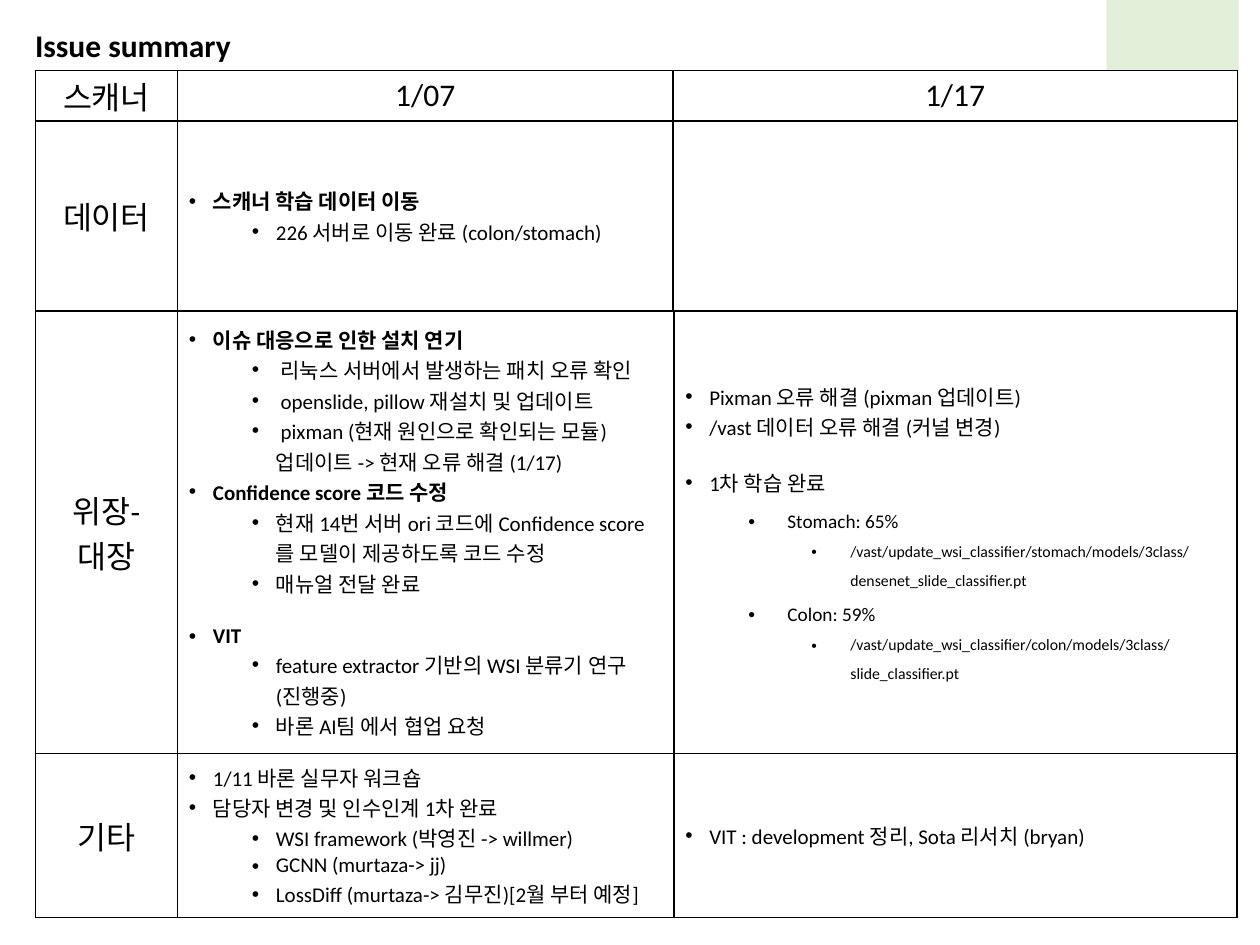
from dataclasses import dataclass
from lxml.etree import SubElement
from pptx import Presentation
from pptx.dml.color import RGBColor
from pptx.enum.shapes import MSO_SHAPE
from pptx.enum.text import MSO_ANCHOR, MSO_AUTO_SIZE, PP_ALIGN
from pptx.oxml.ns import qn
from pptx.util import Inches, Pt


@dataclass
class Entry:
    text: str
    size: int = 12
    bold: bool = False
    level: int = 0
    left: float = 1.9
    hang: float = 1.9
    spacing: float = 1.0
    before: float = 0
    bullet: bool = True


def topic(text, **extra):
    return Entry(text, bold=True, **extra)


def detail(text):
    return Entry(text, level=1, left=6.9)


def score(text):
    return Entry(text, 11, level=1, left=8.1, hang=3.1, spacing=1.5)


def model_path(text):
    return Entry(text, 9, level=2, left=13.1, hang=3.1, spacing=1.5)


def label(text):
    return [Entry(text, 18, bullet=False)]


def color(value):
    return RGBColor.from_string(value)


@dataclass
class IssueSlide:
    slide: object
    font: str = "Calibri"
    ink: str = "000000"
    paper: str = "FFFFFF"
    accent: str = "E2F0D9"
    grid: float = 0.1

    def span(self, count):
        return Inches(count * self.grid)

    def box(self, *counts):
        return [self.span(count) for count in counts]

    def block(self, *counts):
        block = self.slide.shapes.add_shape(MSO_SHAPE.RECTANGLE, *self.box(*counts))
        block.shadow.inherit = False
        block.fill.solid()
        block.fill.fore_color.rgb = color(self.accent)
        block.line.fill.background()

    def run(self, paragraph, text, size, bold):
        run = paragraph.add_run()
        run.text = text
        run.font.name = self.font
        run.font.size = Pt(size)
        run.font.bold = bold
        run.font.color.rgb = color(self.ink)

    def heading(self, text, *counts):
        heading = self.slide.shapes.add_textbox(*self.box(*counts)).text_frame
        heading.word_wrap = True
        heading.auto_size = MSO_AUTO_SIZE.SHAPE_TO_FIT_TEXT
        self.run(heading.paragraphs[0], text, 18, True)

    def entry(self, paragraph, entry):
        if entry.bullet:
            paragraph.level = entry.level
            props = paragraph._p.get_or_add_pPr()
            props.set("marL", str(self.span(entry.left)))
            props.set("indent", str(-self.span(entry.hang)))
            SubElement(props, qn("a:buFont"), typeface="Arial")
            SubElement(props, qn("a:buChar"), char="•")
            if entry.spacing != 1:
                paragraph.line_spacing = entry.spacing
            if entry.before:
                paragraph.space_before = Pt(entry.before)
        else:
            paragraph.alignment = PP_ALIGN.CENTER
        self.run(paragraph, entry.text, entry.size, entry.bold)

    def borders(self, cell):
        props = cell._tc.get_or_add_tcPr()
        for index, side in enumerate(("a:lnL", "a:lnR", "a:lnT", "a:lnB")):
            edge = props.makeelement(qn(side), {"w": str(Pt(1))})
            fill = SubElement(edge, qn("a:solidFill"))
            SubElement(fill, qn("a:srgbClr"), val=self.ink)
            props.insert(index, edge)

    def cell(self, cell, entries):
        cell.fill.solid()
        cell.fill.fore_color.rgb = color(self.paper)
        cell.vertical_anchor = MSO_ANCHOR.MIDDLE
        cell.margin_left = cell.margin_right = self.span(0.9)
        cell.margin_top = cell.margin_bottom = self.span(0.2)
        self.borders(cell)
        frame = cell.text_frame
        for index, entry in enumerate(entries):
            paragraph = frame.add_paragraph() if index else frame.paragraphs[0]
            self.entry(paragraph, entry)

    def table(self, left, top, widths, heights, content):
        bounds = self.box(left, top, sum(widths), sum(heights))
        table = self.slide.shapes.add_table(len(heights), len(widths), *bounds).table
        table.first_row = table.horz_banding = False
        for column, width in zip(table.columns, widths):
            column.width = self.span(width)
        for row, height, cells in zip(table.rows, heights, content):
            row.height = self.span(height)
            for cell, entries in zip(row.cells, cells):
                self.cell(cell, entries)


DATA_ISSUES = [
    [label("스캐너"), label("1/07"), label("1/17")],
    [
        label("데이터"),
        [topic("스캐너 학습 데이터 이동"), detail("226 서버로 이동 완료 (colon/stomach)")],
        [],
    ],
]

MODEL_ISSUES = [
    [
        label("위장-대장"),
        [
            topic("이슈 대응으로 인한 설치 연기"),
            detail(" 리눅스 서버에서 발생하는 패치 오류 확인"),
            detail(" openslide, pillow 재설치 및 업데이트"),
            detail(" pixman (현재 원인으로 확인되는 모듈) 업데이트 -> 현재 오류 해결 (1/17)"),
            topic("Confidence score 코드 수정"),
            detail("현재 14번 서버 ori 코드에 Confidence score를 모델이 제공하도록 코드 수정"),
            detail("매뉴얼 전달 완료"),
            topic("VIT", before=14.6),
            detail("feature extractor 기반의 WSI 분류기 연구 (진행중)"),
            detail("바론 AI팀 에서 협업 요청"),
        ],
        [
            Entry("Pixman 오류 해결 (pixman 업데이트)"),
            Entry("/vast 데이터 오류 해결 (커널 변경)"),
            Entry("1차 학습 완료", before=14.6),
            score("Stomach: 65%"),
            model_path("/vast/update_wsi_classifier/stomach/models/3class/densenet_slide_classifier.pt"),
            score("Colon: 59%"),
            model_path("/vast/update_wsi_classifier/colon/models/3class/slide_classifier.pt"),
        ],
    ],
    [
        label("기타"),
        [
            Entry("1/11 바론 실무자 워크숍"),
            Entry("담당자 변경 및 인수인계 1차 완료"),
            detail("WSI framework (박영진 -> willmer)"),
            detail("GCNN (murtaza-> jj)"),
            detail("LossDiff (murtaza-> 김무진)[2월 부터 예정]"),
        ],
        [Entry("VIT : development 정리, Sota 리서치 (bryan)")],
    ],
]


def main():
    deck = Presentation()
    deck.slide_width, deck.slide_height = Inches(10), Inches(7.5)
    page = IssueSlide(deck.slides.add_slide(deck.slide_layouts[6]))
    page.block(87.8, -1.5, 10.5, 14.4)
    page.heading("Issue summary", 1.8, 1.6, 31.3, 4)
    page.table(2.8, 5.6, (11.3, 39.3, 44.8), (4, 15.1), DATA_ISSUES)
    page.table(2.8, 24.7, (11.3, 39.4, 44.7), (35.1, 13), MODEL_ISSUES)
    deck.save("out.pptx")


if __name__ == "__main__":
    main()
